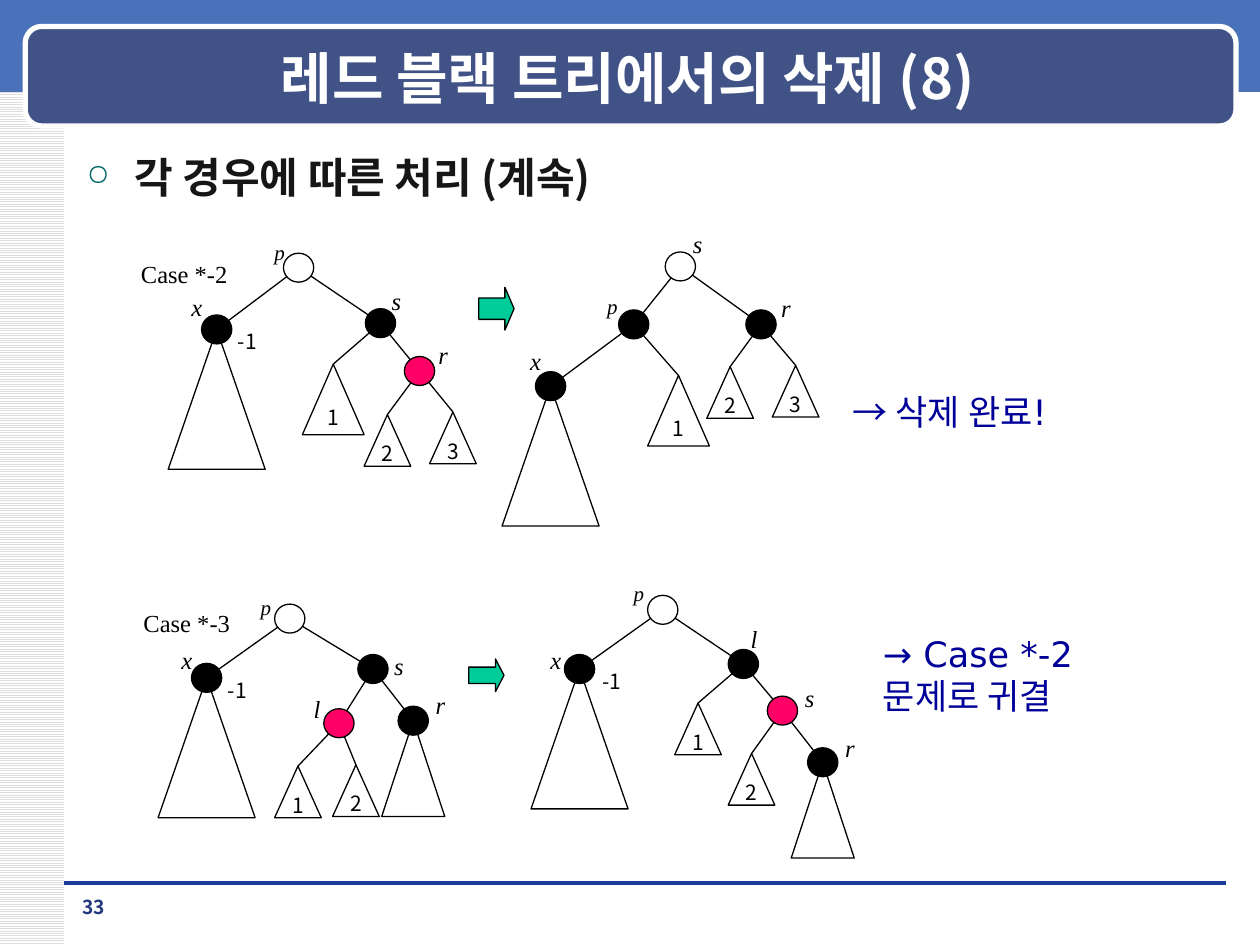
from dataclasses import dataclass
from math import hypot

from lxml.etree import SubElement
from pptx import Presentation
from pptx.dml.color import RGBColor
from pptx.enum.dml import MSO_PATTERN
from pptx.enum.shapes import MSO_CONNECTOR, MSO_SHAPE
from pptx.enum.text import MSO_ANCHOR, MSO_AUTO_SIZE, PP_ALIGN
from pptx.oxml.ns import qn
from pptx.util import Inches, Pt

COLORS = {
    "white": "FFFFFF", "black": "000000", "red": "FF0066", "arrow": "00CC99",
    "band": "4972BB", "banner": "405286", "stripe": "DDDDDD", "rule": "1A3D97",
    "body": "161616", "bullet": "006666", "result": "000099", "page": "23387D",
}
KOREAN, SERIF, SANS = "Noto Sans CJK KR", "Times New Roman", "DejaVu Sans"
NODE_SIZE = (2.4, 2.3)
SUBTREE_SIZES = {"small": (3.7, 4.1), "medium": (4.9, 5.6),
                 "tall": (5, 7.6), "wide": (7.7, 11.1)}


@dataclass
class Subtree:
    center: tuple  # the apex, where the edge from the parent ends
    number: str
    size: str = "small"


@dataclass
class Node:
    name: str
    center: tuple
    color: str
    label_at: tuple
    children: tuple = ()
    hanging: str = ""
    balance_at: tuple = ()


CASE_2_BEFORE = Node("p", (23.7, 21.25), "white", (20.8, 18.5), (
    Node("x", (17.2, 26.15), "black", (14.2, 22.7), hanging="wide", balance_at=(17.9, 25.6)),
    Node("s", (30.2, 25.65), "black", (30.1, 22.2), (
        Subtree((26.45, 28.9), "1", "medium"),
        Node("r", (33.3, 29.45), "red", (33.8, 26.5), (
            Subtree((30.75, 32.9), "2"), Subtree((35.95, 32.7), "3")))))))
CASE_2_AFTER = Node("s", (54, 21.15), "white", (54, 17.7), (
    Node("p", (50.3, 25.75), "black", (47.2, 22.8), (
        Node("x", (43.7, 30.65), "black", (41.1, 27), hanging="wide"),
        Subtree((53.85, 29.8), "1", "medium"))),
    Node("r", (60.4, 25.75), "black", (61, 22.8), (
        Subtree((57.95, 29.1), "2"), Subtree((63.15, 29), "3")))))
CASE_3_BEFORE = Node("p", (23, 49.1), "white", (19.7, 46.7), (
    Node("x", (16.4, 53.8), "black", (13.4, 50.7), hanging="wide", balance_at=(17.1, 53.3)),
    Node("s", (29.6, 53.1), "black", (30.3, 51.2), (
        Node("l", (26.9, 57.4), "red", (23.9, 54.6), (
            Subtree((23.65, 60.8), "1"), Subtree((28.25, 60.7), "2"))),
        Node("r", (32.8, 57.2), "black", (33.6, 54.3), hanging="tall")))))
CASE_3_AFTER = Node("p", (52.6, 48.4), "white", (49.3, 45.6), (
    Node("x", (46, 53.1), "black", (42.7, 50.7), hanging="wide", balance_at=(46.8, 52.6)),
    Node("l", (59, 52.7), "black", (58.6, 49), (
        Subtree((55.4, 55.8), "1"),
        Node("s", (62.1, 56.4), "red", (62.9, 53.7), (
            Subtree((59.65, 59.8), "2"),
            Node("r", (65.3, 60.5), "black", (66.1, 57.7), hanging="tall")))))))


def grid(*units):
    """Columns and rows of a 100 by 75 grid as lengths."""
    return [Inches(unit / 10) for unit in units]


def rgb(name):
    return RGBColor.from_string(COLORS[name])


def set_all(target, values):
    for attribute, value in values.items():
        setattr(target, attribute, value)


def write(frame, text, size, font, color="black", align=None, bold=False, italic=False):
    paragraph = frame.paragraphs[0]
    paragraph.alignment = align
    run = paragraph.add_run()
    run.text = text
    set_all(run.font, {"size": Pt(size), "name": font, "bold": bold, "italic": italic})
    run.font.color.rgb = rgb(color)
    SubElement(run.font._element, qn("a:ea"), typeface=KOREAN)
    return paragraph


def add_text(slide, box, text, size, font, wrap=True, fit=True, **look):
    frame = slide.shapes.add_textbox(*grid(*box)).text_frame
    fitting = MSO_AUTO_SIZE.SHAPE_TO_FIT_TEXT if fit else MSO_AUTO_SIZE.NONE
    set_all(frame, {"word_wrap": wrap, "auto_size": fitting})
    return write(frame, text, size, font, **look)


def add_label(slide, corner, text, size=14, font=SERIF, width=2.8, italic=True):
    add_text(slide, (*corner, width, 3.3 if size == 14 else 3), text, size, font,
             wrap=False, italic=italic)


def add_figure(slide, kind, box, fill=None, line="black", width=0.75):
    figure = slide.shapes.add_shape(kind, *grid(*box))
    figure.shadow.inherit = False
    if fill:
        figure.fill.solid()
        figure.fill.fore_color.rgb = rgb(fill)
    else:
        figure.fill.background()
    if line:
        figure.line.color.rgb = rgb(line)
        figure.line.width = Pt(width)
    else:
        figure.line.fill.background()
    return figure


def add_line(slide, start, end, color="black", width=0.75):
    line = slide.shapes.add_connector(MSO_CONNECTOR.STRAIGHT, *grid(*start, *end))
    line.line.color.rgb = rgb(color)
    line.line.width = Pt(width)
    SubElement(line._element.spPr, qn("a:effectLst"))


def rim_point(center, toward):
    """Point where the line from a node's center leaves its ellipse."""
    step = [b - a for a, b in zip(center, toward)]
    share = 1 / hypot(*(2 * d / size for d, size in zip(step, NODE_SIZE)))
    return tuple(a + share * d for a, d in zip(center, step))


def add_subtree(slide, apex, size, number=""):
    width, height = SUBTREE_SIZES[size]
    triangle = add_figure(slide, MSO_SHAPE.ISOSCELES_TRIANGLE,
                          (apex[0] - width / 2, apex[1], width, height))
    if number:
        frame = triangle.text_frame
        set_all(frame, {"word_wrap": False, "vertical_anchor": MSO_ANCHOR.MIDDLE})
        write(frame, number, 12, KOREAN, align=PP_ALIGN.CENTER)


def add_tree(slide, node):
    if isinstance(node, Subtree):
        add_subtree(slide, node.center, node.size, node.number)
        return
    for child in node.children:
        end = child.center
        if isinstance(child, Node):
            end = rim_point(child.center, node.center)
        add_line(slide, rim_point(node.center, child.center), end)
        add_tree(slide, child)
    if node.hanging:
        add_subtree(slide, node.center, node.hanging)
    corner = [c - size / 2 for c, size in zip(node.center, NODE_SIZE)]
    add_figure(slide, MSO_SHAPE.OVAL, (*corner, *NODE_SIZE), node.color)
    add_label(slide, node.label_at, node.name, 12 if node.name == "p" else 14)
    if node.balance_at:
        add_label(slide, node.balance_at, "-1", 12, KOREAN, 4, italic=False)


def add_frame(slide):
    # Striped margin, top band, footer rule and title banner
    margin = add_figure(slide, MSO_SHAPE.RECTANGLE, (0, 0, 5.1, 75), line=None)
    margin.fill.patterned()
    margin.fill.pattern = MSO_PATTERN.LIGHT_HORIZONTAL
    margin.fill.fore_color.rgb = rgb("stripe")
    margin.fill.back_color.rgb = rgb("white")
    add_figure(slide, MSO_SHAPE.RECTANGLE, (0, -0.3, 100, 7.6), "band", None)
    add_line(slide, (5.1, 70.1), (97.3, 70.1), "rule", 0)
    add_figure(slide, MSO_SHAPE.ROUNDED_RECTANGLE, (2, 2.1, 96.1, 7.9), "banner", "white", 3)


def add_title(slide, text):
    title = slide.shapes.title
    set_all(title, dict(zip(("left", "top", "width", "height"), grid(7.1, 3, 85.4, 6.2))))
    set_all(title.text_frame, {"vertical_anchor": MSO_ANCHOR.MIDDLE,
                               "auto_size": MSO_AUTO_SIZE.NONE})
    write(title.text_frame, text, 32, KOREAN, "white", PP_ALIGN.CENTER, bold=True)
    slide.shapes._spTree.append(title._element)  # in front of the banner


def add_bullet(slide, text):
    paragraph = add_text(slide, (5.9, 11.5, 89, 57.5), text, 24, KOREAN,
                         fit=False, color="body", bold=True)
    paragraph.space_before = Pt(4.8)
    properties = paragraph._p.get_or_add_pPr()
    indent = Inches(0.38)
    properties.set("marL", str(indent))
    properties.set("indent", str(-indent))
    SubElement(SubElement(properties, qn("a:buClr")), qn("a:srgbClr"), val=COLORS["bullet"])
    SubElement(properties, qn("a:buSzPct"), val="70000")
    SubElement(properties, qn("a:buChar"), char="○")


def add_case(slide, name, name_at, before, after, arrow_box, result, result_box):
    add_label(slide, name_at, name, width=8.9, italic=False)
    add_tree(slide, before)
    add_figure(slide, MSO_SHAPE.RIGHT_ARROW, arrow_box, "arrow").adjustments[1] = 0.26
    add_tree(slide, after)
    add_text(slide, result_box, result, 20, SANS, color="result").level = 1


def main():
    deck = Presentation()
    deck.slide_width, deck.slide_height = grid(100, 75)
    slide = deck.slides.add_slide(deck.slide_layouts[5])
    add_frame(slide)
    add_title(slide, "레드 블랙 트리에서의 삭제 (8)")
    add_bullet(slide, "각 경우에 따른 처리 (계속)")
    add_case(slide, "Case *-2", (10.2, 20.1), CASE_2_BEFORE, CASE_2_AFTER,
             (38, 22.8, 2.8, 3.4), "→ 삭제 완료!", (61.7, 30.5, 26, 4.4))
    add_case(slide, "Case *-3", (10.4, 47.8), CASE_3_BEFORE, CASE_3_AFTER,
             (37.2, 52.3, 2.8, 2.6), "→ Case *-2 문제로 귀결", (64.1, 49.7, 26, 7.7))
    # Page number
    add_text(slide, (5.1, 70.6, 4.7, 2.7), "33", 11, KOREAN, fit=False,
             color="page", align=PP_ALIGN.CENTER, bold=True)
    deck.save("out.pptx")


if __name__ == "__main__":
    main()
